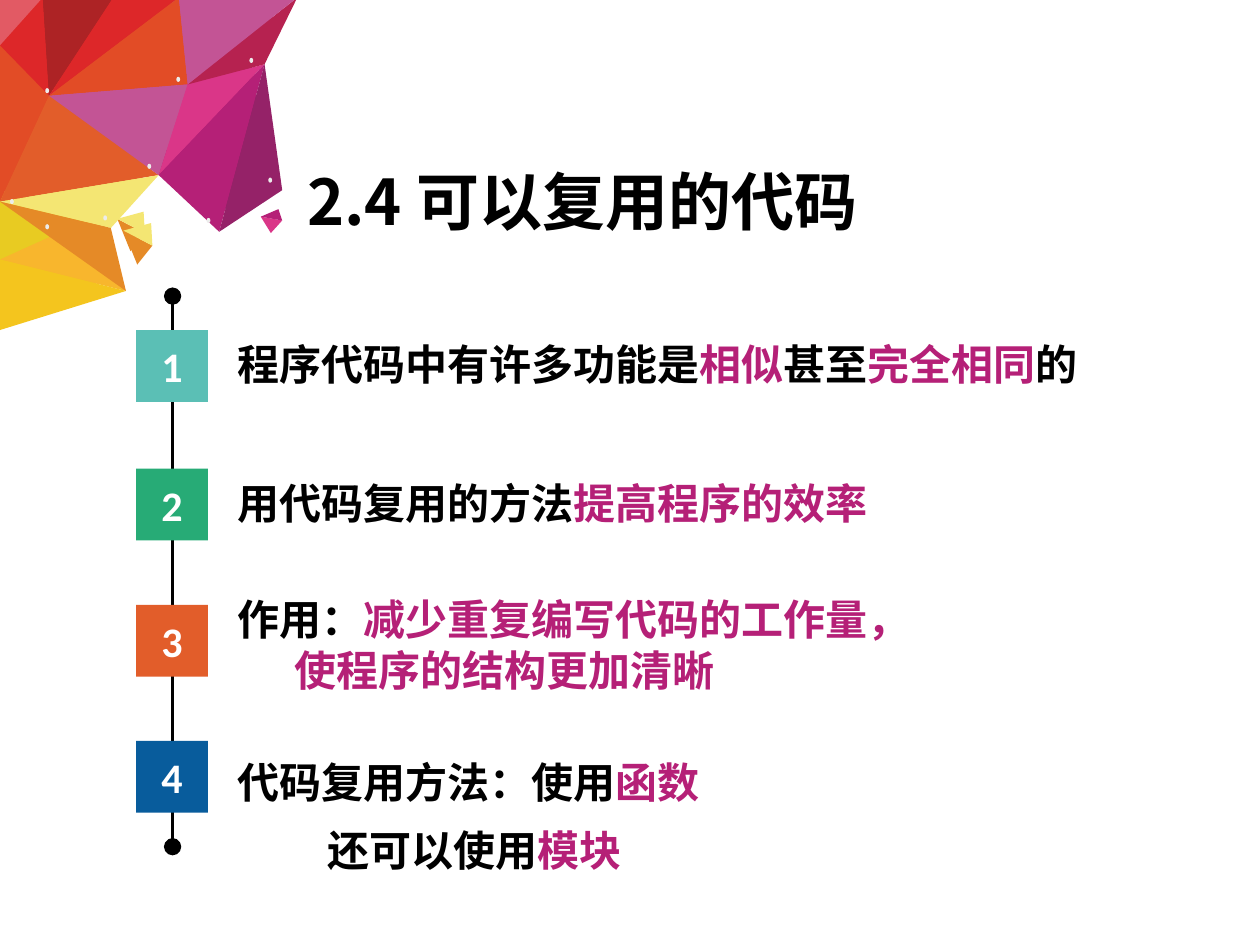
from lxml import etree
from pptx import Presentation
from pptx import util as u
from pptx.dml.color import RGBColor
from pptx.enum import shapes, text
from pptx.oxml import ns

BLACK, WHITE, MAGENTA, PALE = "000000", "FFFFFF", "B52077", "ECECEB"
CJK, LATIN = "Noto Sans CJK SC", "Calibri"

# Corners of the gem: its facets are named by these letters.
CORNERS = {
    "a": (0, -0.02), "b": (0.34, -0.02), "c": (0.9, -0.02), "d": (1.42, -0.02),
    "e": (2.36, -0.02), "f": (0, 0.36), "g": (0.39, 0.76), "h": (1.49, 0.67),
    "i": (2.1, 0.51), "j": (0, 1.6), "k": (1.26, 1.39), "l": (1.74, 1.84),
    "m": (2.24, 1.51), "n": (0.71, 1.74), "o": (0.88, 1.81), "p": (1, 2.31),
    "q": (0, 2.06), "r": (0, 2.62), "s": (0.98, 1.83), "t": (1.2, 1.77),
    "u": (1.21, 1.95), "v": (1.09, 2.1), "w": (2.07, 1.72), "x": (2.15, 1.85),
    "y": (2.24, 1.75), "z": (2.21, 1.66),
}
FACETS = [
    ("jqn", "E8CB22"), ("qpn", "F8B62D"), ("fjg", "E24C26"), ("jkg", "E25D2A"),
    ("gbf", "DD2729"), ("gcb", "AD2325"), ("gdc", "DD2729"), ("dhg", "E24C26"),
    ("kgh", "C35495"), ("kih", "DA3688"), ("kli", "B52077"), ("lmi", "952268"),
    ("hei", "B62250"), ("deh", "C35495"), ("vsu", "E58A27"), ("stu", "F4E673"),
    ("baf", "E25A64"), ("koj", "F4E673"), ("opj", "E58A27"), ("qrp", "F4C51E"),
]
CHIPS = [("xwy", "DA3688"), ("wzy", "B52077")]
SPARKS = [(1.98, 0.46), (1.4, 0.61), (1.17, 1.3), (0.36, 0.7), (0.36, 1.78),
          (0.08, 1.58), (0.82, 1.71), (1.64, 1.73), (2.13, 1.41)]
STEPS = [(2.62, "5BBFB5"), (3.72, "27AB76"), (4.8, "E25D2A"), (5.88, "085C9C")]


def color(value):
    return RGBColor.from_string(value)


class Deck:
    def __init__(self):
        self.presentation = Presentation()
        self.presentation.slide_width = u.Inches(10)
        self.presentation.slide_height = u.Inches(7.5)
        self.slide = self.presentation.slides.add_slide(
            self.presentation.slide_layouts[6])

    def paint(self, shape, fill):
        shape.shadow.inherit = False
        shape.fill.solid()
        shape.fill.fore_color.rgb = color(fill)
        shape.line.fill.background()

    def style(self, run, size, name, value):
        run.font.size = u.Pt(size)
        run.font.bold = True
        run.font.color.rgb = color(value)
        run.font.name = name
        east_asian = etree.SubElement(run._r.get_or_add_rPr(), ns.qn("a:ea"))
        east_asian.set("typeface", name)

    def text(self, left, top, width, height, lines, size=24):
        """Add (text, indent) lines; every second part between bars is magenta."""
        box = self.slide.shapes.add_textbox(
            *map(u.Inches, (left, top, width, height)))
        frame = box.text_frame
        frame.word_wrap = True
        for index, (content, indent) in enumerate(lines):
            paragraph = frame.add_paragraph() if index else frame.paragraphs[0]
            paragraph._p.get_or_add_pPr().set("marL", str(u.Inches(indent)))
            paragraph.line_spacing = u.Pt(round(size * 1.22, 1))
            for part, words in enumerate(content.split("|")):
                if words:
                    run = paragraph.add_run()
                    run.text = words
                    self.style(run, size, CJK, MAGENTA if part % 2 else BLACK)

    def facets(self, group, facets, scale=1):
        """Draw triangles, scaled from the slide's top left corner."""
        for names, fill in facets:
            points = [(u.Inches(x * scale), u.Inches((y + 0.02) * scale - 0.02))
                      for x, y in map(CORNERS.get, names)]
            builder = group.shapes.build_freeform(*points[0])
            builder.add_line_segments(points[1:], close=True)
            self.paint(builder.convert_to_shape(), fill)

    def gem(self):
        group = self.slide.shapes.add_group_shape()
        self.facets(group, FACETS, 0.95)
        self.facets(group, FACETS + CHIPS)
        for left, top in SPARKS:
            spark = group.shapes.add_shape(
                shapes.MSO_SHAPE.OVAL, *map(u.Inches, (left, top, 0.03, 0.04)))
            self.paint(spark, PALE)

    def timeline(self, x, top, bottom):
        line = self.slide.shapes.add_connector(
            shapes.MSO_CONNECTOR.STRAIGHT, *map(u.Inches, (x, top, x, bottom)))
        line.line.color.rgb = color(BLACK)
        line.line.width = u.Pt(1.75)
        for end in ("a:headEnd", "a:tailEnd"):
            etree.SubElement(line.line._get_or_add_ln(), ns.qn(end),
                             type="oval", w="lg", len="lg")
        etree.SubElement(line._element.spPr, ns.qn("a:effectLst"))

    def step(self, number, top, fill):
        square = self.slide.shapes.add_shape(
            shapes.MSO_SHAPE.RECTANGLE, *map(u.Inches, (1.08, top, 0.57, 0.57)))
        self.paint(square, fill)
        frame = square.text_frame
        frame.text = str(number)
        frame.vertical_anchor = text.MSO_ANCHOR.MIDDLE
        paragraph = frame.paragraphs[0]
        paragraph.alignment = text.PP_ALIGN.CENTER
        self.style(paragraph.runs[0], 24, LATIN, WHITE)


def main():
    deck = Deck()
    deck.text(1.79, 2.63, 6.96, 0.5,
              [("程序代码中有许多功能是|相似|甚至|完全相同|的", 0)])
    deck.text(1.79, 3.73, 6.26, 0.5, [("用代码复用的方法|提高程序的效率", 0)])
    deck.text(1.79, 5.95, 5.85, 0.5, [("代码复用方法：使用|函数", 0)])
    deck.text(1.79, 4.65, 5.55, 0.91,
              [("作用：|减少重复编写代码的工作量，", 0),
               ("|使程序的结构更加清晰", 0.45)])
    deck.gem()
    deck.text(2.34, 1.23, 4.79, 0.7, [("2.4 可以复用的代码", 0)], size=36)
    deck.timeline(1.37, 2.35, 6.72)
    for number, (top, fill) in enumerate(STEPS, 1):
        deck.step(number, top, fill)
    deck.text(1.98, 6.49, 6.96, 0.5, [("还可以使用|模块", 0.52)])
    deck.presentation.save("out.pptx")


if __name__ == "__main__":
    main()
